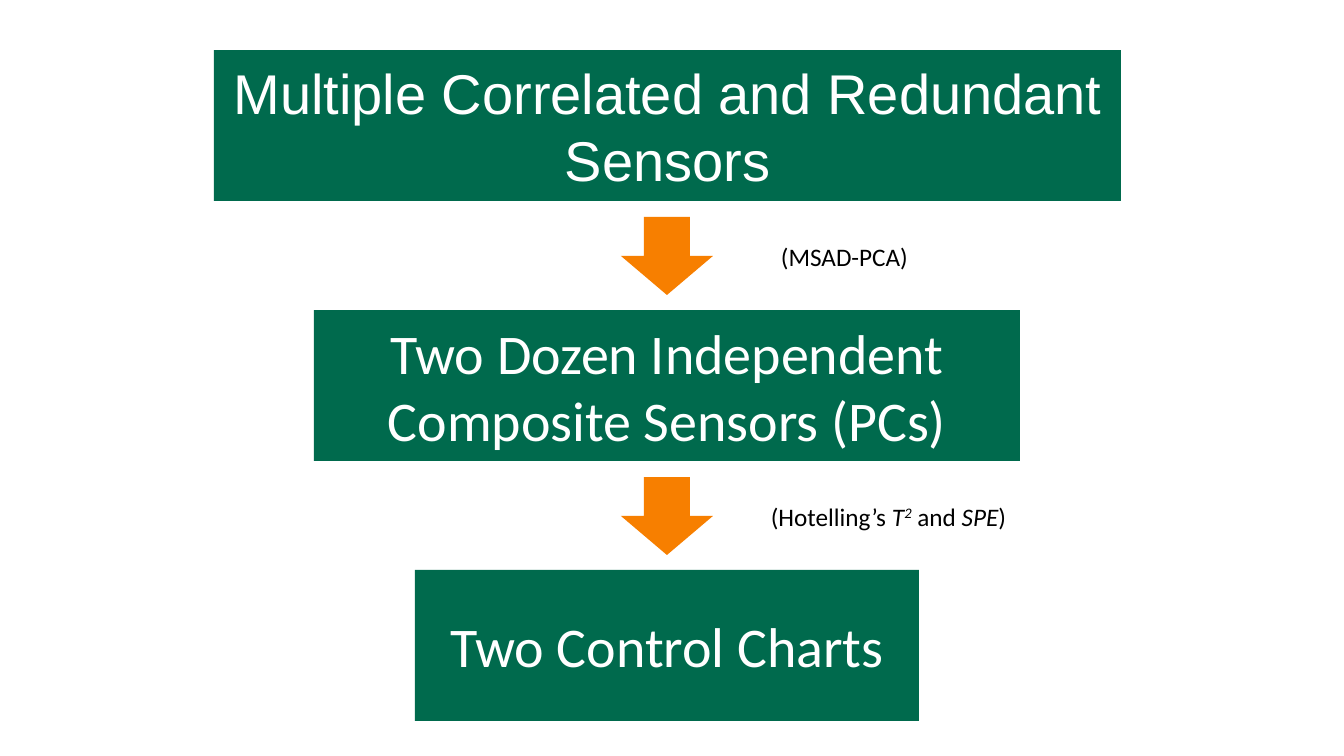
from dataclasses import dataclass
from pptx import Presentation
from pptx.dml.color import RGBColor
from pptx.enum.shapes import MSO_SHAPE as Shape
from pptx.enum.text import MSO_ANCHOR as Anchor, MSO_AUTO_SIZE as AutoSize, PP_ALIGN as Align
from pptx.util import Emu, Pt

SCALE = 914400 / 100.8  # EMU per pixel


@dataclass
class Theme:
    green: RGBColor = RGBColor(0x00, 0x6A, 0x4D)
    orange: RGBColor = RGBColor(0xF7, 0x7F, 0x00)
    white: RGBColor = RGBColor(0xFF, 0xFF, 0xFF)
    black: RGBColor = RGBColor(0x00, 0x00, 0x00)
    stage_size: Pt = Pt(40)
    method_size: Pt = Pt(18)
    font: str = "Calibri"
    first_font: str = "Arial"


theme = Theme()


def px(*lengths):
    return [Emu(round(length * SCALE)) for length in lengths]


def add_block(kind, left, top, width, height, color):
    block = slide.shapes.add_shape(kind, *px(left, top, width, height))
    block.shadow.inherit = False
    block.fill.solid()
    block.fill.fore_color.rgb = color
    block.line.fill.background()
    return block


deck = Presentation()
deck.slide_width, deck.slide_height = px(1344, 756)
slide = deck.slides.add_slide(deck.slide_layouts[6])

CENTER = 667
PITCH = 260  # from one stage to the next
STAGE_TOP, STAGE_HEIGHT = 50, 151
ARROW_TOP, ARROW_WIDTH, ARROW_HEIGHT = 217, 92, 78
METHOD_TOP, METHOD_HEIGHT = 236, 40

# Stages, narrowing downwards
stages = [
    ("Multiple Correlated and Redundant Sensors", 907, theme.first_font),
    ("Two Dozen Independent Composite Sensors (PCs)", 706, theme.font),
    ("Two Control Charts", 504, theme.font),
]
for row, (wording, width, font) in enumerate(stages):
    stage = add_block(Shape.RECTANGLE, CENTER - width // 2, STAGE_TOP + row * PITCH,
                      width, STAGE_HEIGHT, theme.green)
    frame = stage.text_frame
    frame.word_wrap = True
    frame.vertical_anchor = Anchor.MIDDLE
    frame.text = wording
    line = frame.paragraphs[0]
    line.alignment = Align.CENTER
    line.font.name = font
    line.font.size = theme.stage_size
    line.font.color.rgb = theme.white

# Arrows with the method of each step: (wording, italic, baseline)
methods = [
    (771, 148, [("(MSAD-PCA)", False, 0)]),
    (761, 259, [("(Hotelling’s ", False, 0), ("T", True, 0), ("2", True, 30000),
                (" and ", False, 0), ("SPE", True, 0), (")", False, 0)]),
]
for row, (left, width, parts) in enumerate(methods):
    add_block(Shape.DOWN_ARROW, CENTER - ARROW_WIDTH // 2, ARROW_TOP + row * PITCH,
              ARROW_WIDTH, ARROW_HEIGHT, theme.orange)
    method = slide.shapes.add_textbox(
        *px(left, METHOD_TOP + row * PITCH, width, METHOD_HEIGHT))
    method.text_frame.word_wrap = False
    method.text_frame.auto_size = AutoSize.SHAPE_TO_FIT_TEXT
    for wording, italic, baseline in parts:
        run = method.text_frame.paragraphs[0].add_run()
        run.text = wording
        run.font.name = theme.font
        run.font.size = theme.method_size
        run.font.color.rgb = theme.black
        run.font.italic = italic
        if baseline:
            run.font._element.set("baseline", str(baseline))

deck.save("out.pptx")
